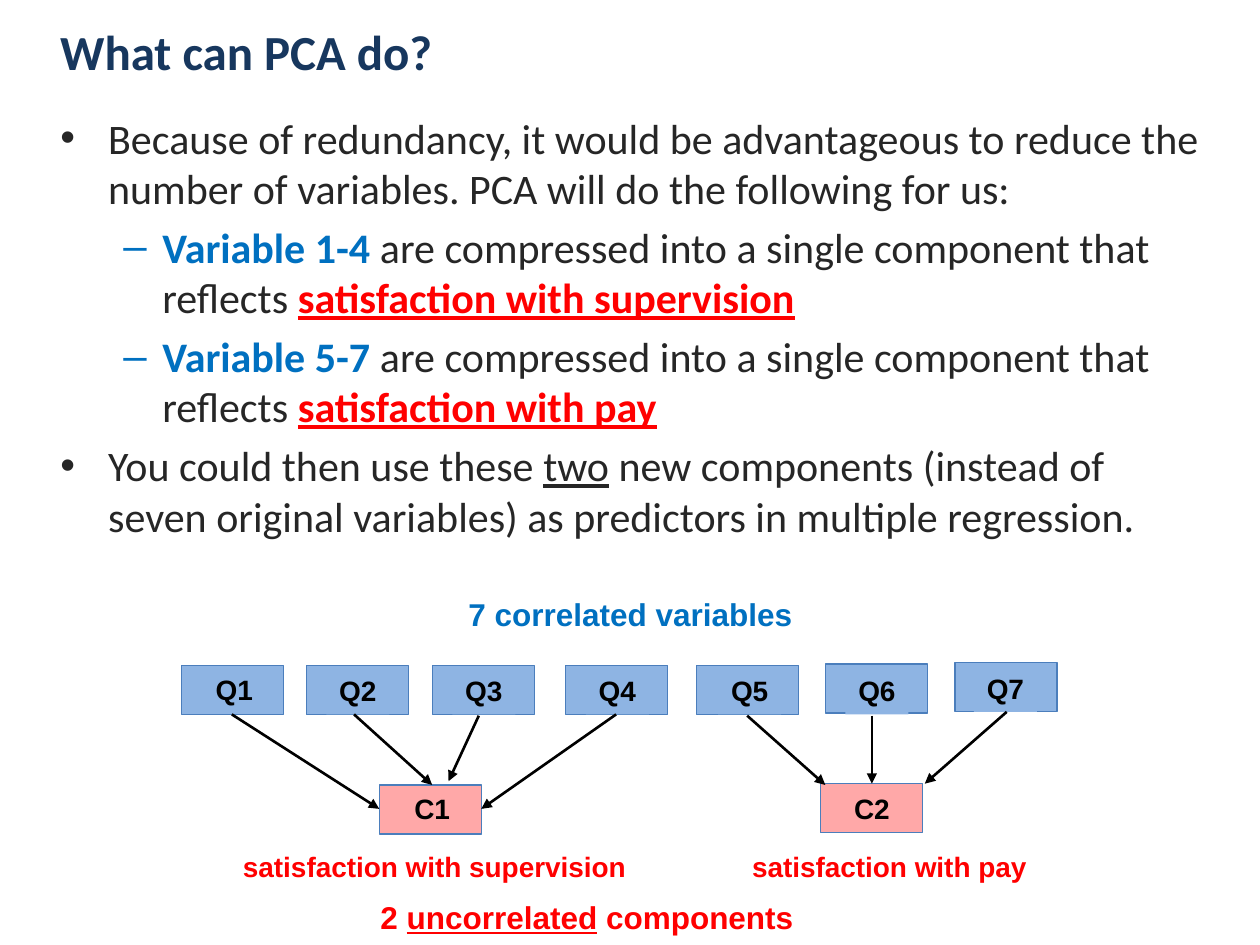
from lxml import etree
from pptx import Presentation
from pptx.dml.color import RGBColor
from pptx.enum.shapes import MSO_CONNECTOR as CONN, MSO_SHAPE as SHAPE
from pptx.enum.text import MSO_ANCHOR as ANCHOR, PP_ALIGN as ALIGN
from pptx.oxml.ns import qn
from pptx.util import Inches, Pt

NAVY = RGBColor(0x17, 0x37, 0x5E)
DARK = RGBColor(0x26, 0x26, 0x26)
BLUE = RGBColor(0x00, 0x70, 0xC0)
RED = RGBColor(0xFF, 0x00, 0x00)
BLACK = RGBColor(0x00, 0x00, 0x00)
BOX_BLUE = RGBColor(0x8E, 0xB4, 0xE3)
BOX_LINE = RGBColor(0x4B, 0x7E, 0xBC)

prs = Presentation()
prs.slide_width, prs.slide_height = Inches(10), Inches(7.5)
s = prs.slides.add_slide(prs.slide_layouts[6])


def add_runs(p, runs, font, size):
    """Each run is (text, colour, bold, underline)."""
    for text, color, bold, underline in runs:
        r = p.add_run()
        r.text = text
        r.font.name, r.font.size = font, Pt(size)
        r.font.bold, r.font.underline = bold, underline
        r.font.color.rgb = color


def add_rect(x, y, w, h, fill):
    sp = s.shapes.add_shape(SHAPE.RECTANGLE, Inches(x), Inches(y), Inches(w), Inches(h))
    sp.shadow.inherit = False
    sp.fill.solid()
    sp.fill.fore_color.rgb = fill
    sp.line.color.rgb = BOX_LINE
    sp.line.width = Pt(0.75)
    return sp


# Title
tf = s.shapes.add_textbox(Inches(0.38), Inches(0.05), Inches(8.2), Inches(0.71)).text_frame
tf.word_wrap = True
tf.vertical_anchor = ANCHOR.MIDDLE
add_runs(tf.paragraphs[0], [("What can PCA do?", NAVY, True, False)], "Calibri", 28)

# Bulleted body: level and runs of each paragraph
compressed = "are compressed into a single component that reflects "
body = [
    (0, [("Because of redundancy, it would be advantageous to reduce the number of "
          "variables. PCA will do the following for us:", DARK, False, False)]),
    (1, [("Variable 1-4 ", BLUE, True, False), (compressed, DARK, False, False),
         ("satisfaction with supervision", RED, True, True)]),
    (1, [("Variable 5-7 ", BLUE, True, False), (compressed, DARK, False, False),
         ("satisfaction with pay", RED, True, True)]),
    (0, [("You could then use these ", DARK, False, False), ("two", DARK, False, True),
         (" new components (instead of seven original variables) as predictors in "
          "multiple regression.", DARK, False, False)]),
]
levels = [(0.38, -0.38, "•"), (0.81, -0.31, "–")]
tf = s.shapes.add_textbox(Inches(0.38), Inches(0.84), Inches(9.25), Inches(6.05)).text_frame
tf.word_wrap = True
for i, (level, runs) in enumerate(body):
    p = tf.add_paragraph() if i else tf.paragraphs[0]
    margin, indent, bullet = levels[level]
    p.level = level
    pPr = p._p.get_or_add_pPr()
    pPr.set("marL", str(Inches(margin)))
    pPr.set("indent", str(Inches(indent)))
    etree.SubElement(pPr, qn("a:buFont")).set("typeface", "Arial")
    etree.SubElement(pPr, qn("a:buChar")).set("char", bullet)
    p.space_before = Pt(4.8 if i else 0)
    add_runs(p, runs, "Calibri", 24)

# Variable and component boxes: left, top, label left, label top
variables = [
    (1.44, 5.28, 1.61, 5.29), (2.43, 5.28, 2.59, 5.3), (3.43, 5.28, 3.59, 5.3),
    (4.49, 5.28, 4.65, 5.3), (5.53, 5.28, 5.7, 5.3), (6.55, 5.27, 6.71, 5.3),
    (7.58, 5.26, 7.73, 5.28),
]
components = [(3.01, 6.23, 3.18, 6.23), (6.51, 6.22, 6.67, 6.23)]
for prefix, boxes in (("Q", variables), ("C", components)):
    for n, (x, y, label_x, label_y) in enumerate(boxes, 1):
        if prefix == "Q":
            add_rect(x, y, 0.81, 0.39, BOX_BLUE)
            sp = add_rect(label_x, label_y, 0.5, 0.37, BOX_BLUE)
            sp.line.fill.background()
        else:
            box = add_rect(x, y, 0.81, 0.39, RED)
            color = box.fill._xPr.find(qn("a:solidFill"))[0]
            etree.SubElement(color, qn("a:alpha")).set("val", "34000")
            sp = s.shapes.add_textbox(Inches(label_x), Inches(label_y), Inches(0.5), Inches(0.37))
        tf = sp.text_frame
        tf.word_wrap = False
        tf.vertical_anchor = ANCHOR.TOP
        p = tf.paragraphs[0]
        p.alignment = ALIGN.CENTER
        add_runs(p, [(f"{prefix}{n}", BLACK, True, False)], "Arial", 16)

# Arrows from variables to components
arrows = [
    (1.84, 5.67, 3.01, 6.42), (2.81, 5.67, 3.43, 6.23), (3.8, 5.68, 3.56, 6.2),
    (4.89, 5.67, 3.82, 6.42), (5.93, 5.68, 6.55, 6.23), (6.92, 5.68, 6.92, 6.22),
    (7.99, 5.65, 7.34, 6.22),
]
for ends in arrows:
    c = s.shapes.add_connector(CONN.STRAIGHT, *map(Inches, ends))
    c.line.color.rgb = BLACK
    c.line.width = Pt(1.5)
    etree.SubElement(c.line._get_or_add_ln(), qn("a:tailEnd")).set("type", "triangle")
    etree.SubElement(c._element.spPr, qn("a:effectLst"))

# Captions: left, top, width, height, size, runs
captions = [
    (1.83, 6.69, 3.47, 0.37, 16, [("satisfaction with supervision", RED, True, False)]),
    (5.87, 6.69, 2.71, 0.37, 16, [("satisfaction with pay", RED, True, False)]),
    (3.62, 4.67, 3.27, 0.4, 18, [("7 correlated variables", BLUE, True, False)]),
    (2.92, 7.08, 5.22, 0.4, 18, [("2 ", RED, True, False), ("uncorrelated", RED, True, True),
                                 (" components", RED, True, False)]),
]
for x, y, w, h, size, runs in captions:
    tf = s.shapes.add_textbox(Inches(x), Inches(y), Inches(w), Inches(h)).text_frame
    tf.word_wrap = True
    add_runs(tf.paragraphs[0], runs, "Arial", size)

prs.save("out.pptx")
